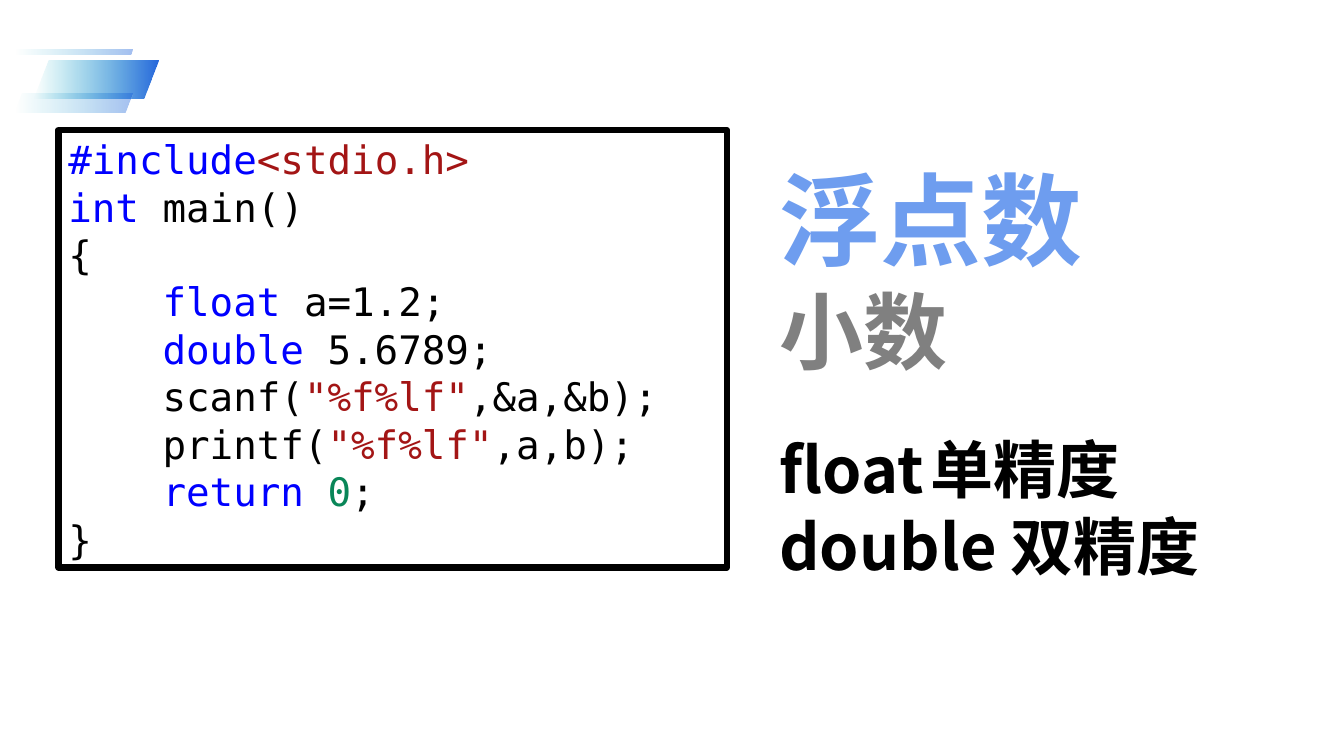
import lxml.etree
import pptx
import pptx.util
import pptx.dml.color
import pptx.enum.shapes
import pptx.enum.text
import pptx.oxml.ns

Inches, Pt = pptx.util.Inches, pptx.util.Pt
qn = pptx.oxml.ns.qn

THEME = {
    "key": "0000FF", "str": "A31515", "num": "098658", "ink": "000000",
    "blue": "6E9DEF", "grey": "808080", "teal": "07B2C4", "deep": "185EDA",
    "mono": "DejaVu Sans Mono", "latin": "Arial", "cjk": "Noto Sans CJK SC",
    "code": 28, "head": 72, "sub": 60, "term": 45,
    "pitch": 1.21,
}

# Each line of code is a list of (text, colour) parts.
CODE = [
    [("#include", "key"), ("<stdio.h>", "str")],
    [("int", "key"), (" main()", "ink")],
    [("{", "ink")],
    [("    ", "ink"), ("float", "key"), (" a=1.2;", "ink")],
    [("    ", "ink"), ("double", "key"), (" 5.6789;", "ink")],
    [("    scanf(", "ink"), ('"%f%lf"', "str"), (",&a,&b);", "ink")],
    [("    printf(", "ink"), ('"%f%lf"', "str"), (",a,b);", "ink")],
    [("    ", "ink"), ("return ", "key"), ("0", "num"), (";", "ink")],
    [("}", "ink")],
]
# text, font, size, colour
TITLE = [("浮点数", "latin", "head", "blue"), ("小数", "cjk", "sub", "grey")]
TERMS = [("float\t单精度", "cjk", "term", "ink"),
         ("double 双精度", "cjk", "term", "ink")]
TERM_TAB = 1.85
# left, top, width, height, opacity of the right end in percent
BANDS = [(0.33, 0.6, 1.24, 0.38, 94), (0.14, 0.93, 1.17, 0.19, 40),
         (0.14, 0.49, 1.17, 0.05, 40)]
CODE_AT = (0.58, 1.29, 6.63, 4.34)
TITLE_AT = (7.63, 1.43, 5.05, 2.32)
TERMS_AT = (7.63, 4.18, 4.83, 1.62)


def rgb(name):
    return pptx.dml.color.RGBColor.from_string(THEME[name])


def add_node(parent, tag, **attrs):
    return lxml.etree.SubElement(parent, qn(tag), attrs)


def place(shape, at):
    shape.left, shape.top, shape.width, shape.height = map(Inches, at)


def add_band(slide, at, alpha):
    band = slide.shapes.add_shape(
        pptx.enum.shapes.MSO_SHAPE.PARALLELOGRAM, *map(Inches, at))
    band.adjustments[0] = 0.395
    band.shadow.inherit = False
    band.line.fill.background()
    band.fill.gradient()
    band.fill.gradient_angle = 0
    ends = (("teal", 0), ("deep", alpha))
    for stop, (name, _) in zip(band.fill.gradient_stops, ends):
        stop.color.rgb = rgb(name)
    colours = band.element.spPr.find(qn("a:gradFill")).iter(qn("a:srgbClr"))
    for colour, (_, part) in zip(colours, ends):
        add_node(colour, "a:alpha", val=str(part * 1000))


def set_frame(frame, top=0.05):
    frame.word_wrap = True
    frame.auto_size = pptx.enum.text.MSO_AUTO_SIZE.NONE
    frame.vertical_anchor = pptx.enum.text.MSO_ANCHOR.TOP
    frame.margin_left = frame.margin_right = Inches(0.1)
    frame.margin_top, frame.margin_bottom = Inches(top), 0


def add_lines(frame, count):
    """Yield count paragraphs, using the one already there first."""
    for i in range(count):
        yield frame.add_paragraph() if i else frame.paragraphs[0]


def set_para(para, font, size):
    para.alignment = pptx.enum.text.PP_ALIGN.LEFT
    para.space_before = para.space_after = Pt(0)
    para.line_spacing = Pt(round(THEME[size] * THEME["pitch"], 1))
    para.font.name = THEME[font]
    para.font.size = Pt(THEME[size])


def add_code(slide):
    box = slide.shapes.add_shape(
        pptx.enum.shapes.MSO_SHAPE.RECTANGLE, *map(Inches, CODE_AT))
    box.shadow.inherit = False
    box.fill.background()
    box.line.color.rgb = rgb("ink")
    box.line.width = Pt(4.5)
    set_frame(box.text_frame)
    for para, parts in zip(add_lines(box.text_frame, len(CODE)), CODE):
        set_para(para, "mono", "code")
        for text, name in parts:
            run = para.add_run()
            run.text = text
            run.font.color.rgb = rgb(name)


def fill_holder(holder, at, lines, top):
    """Move a placeholder and fill it with bold, unbulleted lines."""
    place(holder, at)
    frame = holder.text_frame
    set_frame(frame, top)
    for para, line in zip(add_lines(frame, len(lines)), lines):
        text, font, size, name = line
        para.text = text
        props = para._p.get_or_add_pPr()
        props.set("marL", "0")
        props.set("indent", "0")
        add_node(props, "a:buNone")
        if "\t" in text:
            tabs = add_node(props, "a:tabLst")
            add_node(tabs, "a:tab", pos=str(int(Inches(TERM_TAB))), algn="l")
        set_para(para, font, size)
        para.font.bold = True
        para.font.color.rgb = rgb(name)
        add_node(props.find(qn("a:defRPr")), "a:ea", typeface=THEME["cjk"])


def main():
    deck = pptx.Presentation()
    deck.slide_width, deck.slide_height = Inches(13.33), Inches(7.5)
    slide = deck.slides.add_slide(deck.slide_layouts[1])
    for *at, alpha in BANDS:
        add_band(slide, at, alpha)
    add_code(slide)
    fill_holder(slide.shapes.title, TITLE_AT, TITLE, 0.12)
    fill_holder(slide.placeholders[1], TERMS_AT, TERMS, 0.09)
    deck.save("out.pptx")


if __name__ == "__main__":
    main()
